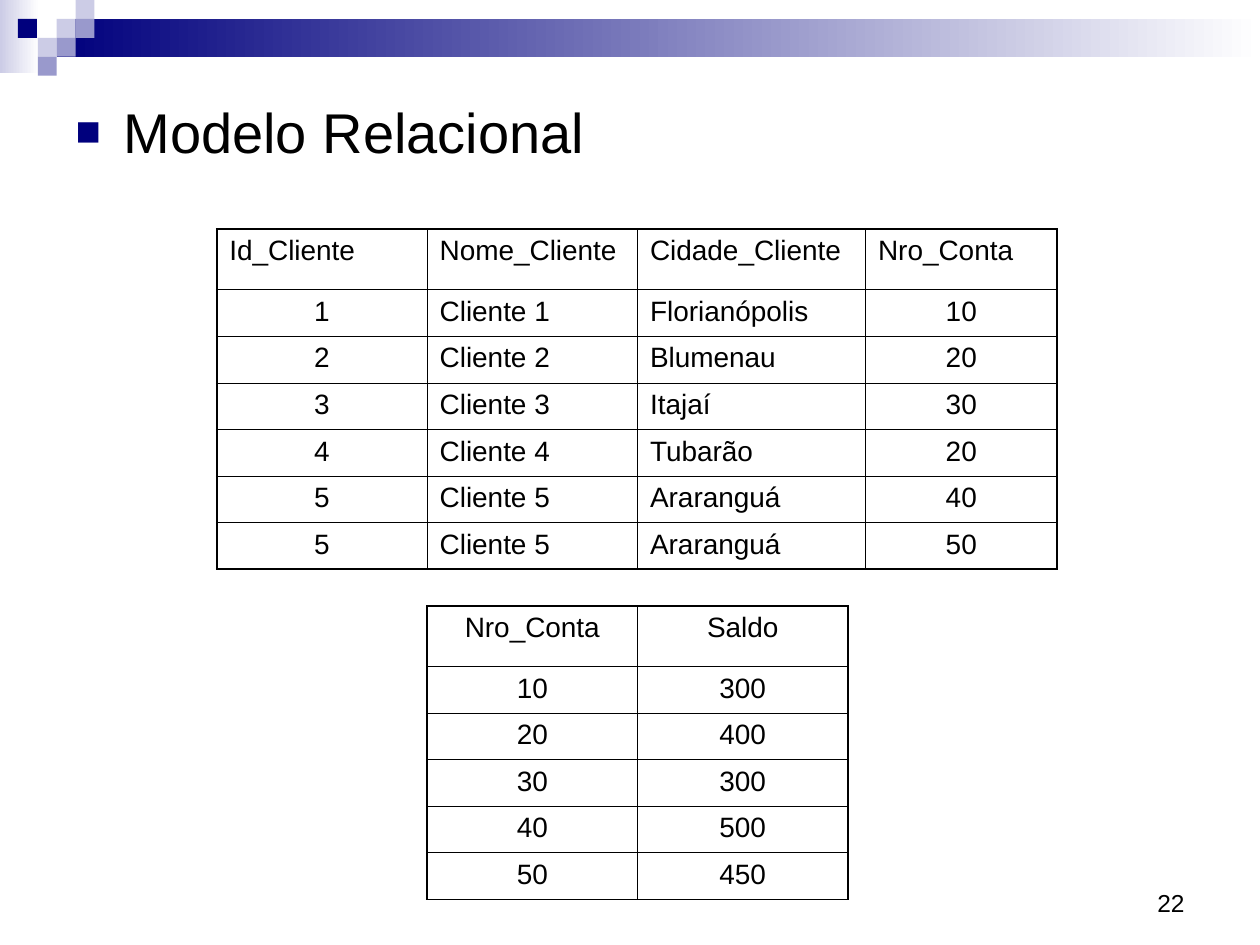
from lxml import etree
from pptx import Presentation
from pptx import util as u
from pptx.dml.color import RGBColor
from pptx.enum import shapes, text
from pptx.oxml import ns

COLORS = {"navy": "00007D", "mid": "9999CC", "pale": "CCCCE6",
          "white": "FFFFFF", "black": "000000"}
FONT = "Arial"
UNIT = 0.15  # side of one square of the header pattern, inches
HEAD_ROW, BODY_ROW = 0.48, 0.37
THIN, THICK = 0.45, 1.08
NO_STYLE = "{2D5ABB26-0587-4C30-8999-92F81FD0307C}"
LEFT, CENTER, RIGHT = (text.PP_ALIGN.LEFT, text.PP_ALIGN.CENTER,
                       text.PP_ALIGN.RIGHT)

# column, row, colour on the header grid
SQUARES = [(3, 1, "pale"), (4, 0, "pale"), (4, 1, "mid"), (2, 2, "pale"),
           (0.95, 1, "navy"), (3, 2, "mid"), (2, 3, "mid")]

CLIENTS = [
    ("Id_Cliente", "Nome_Cliente", "Cidade_Cliente", "Nro_Conta"),
    ("1", "Cliente 1", "Florianópolis", "10"),
    ("2", "Cliente 2", "Blumenau", "20"),
    ("3", "Cliente 3", "Itajaí", "30"),
    ("4", "Cliente 4", "Tubarão", "20"),
    ("5", "Cliente 5", "Araranguá", "40"),
    ("5", "Cliente 5", "Araranguá", "50"),
]
ACCOUNTS = [("Nro_Conta", "Saldo"), ("10", "300"), ("20", "400"),
            ("30", "300"), ("40", "500"), ("50", "450")]


def rgb(name):
    return RGBColor.from_string(COLORS[name])


def sub(parent, tag, **attrs):
    return etree.SubElement(parent, ns.qn(tag), attrs)


def add_run(p, content, size):
    r = p.add_run()
    r.text = content
    r.font.size = u.Pt(size)
    r.font.name = FONT
    r.font.color.rgb = rgb("black")


def add_block(slide, col, row, cols, rows, *colors):
    """Rectangle on the header grid; two colours give a gradient."""
    box = [u.Inches(n * UNIT) for n in (col, row, cols, rows)]
    sp = slide.shapes.add_shape(shapes.MSO_SHAPE.RECTANGLE, *box)
    sp.shadow.inherit = False
    sp.line.fill.background()
    if len(colors) == 1:
        sp.fill.solid()
        sp.fill.fore_color.rgb = rgb(colors[0])
        return
    sp.fill.gradient()
    sp.fill.gradient_angle = 0
    for stop, name, position in zip(sp.fill.gradient_stops, colors, (0, 1)):
        stop.color.rgb = rgb(name)
        stop.position = position


def add_header(slide):
    add_block(slide, 0, 0, 2.07, 3.87, "pale", "white")
    add_block(slide, 3, 1, 10 / UNIT - 3, 2, "navy", "white")
    for col, row, color in SQUARES:
        add_block(slide, col, row, 1, 1, color)


def add_heading(slide, content):
    body = slide.placeholders[1]
    body.left, body.top = u.Inches(0.5), u.Inches(0.72)
    body.width, body.height = u.Inches(9.19), u.Inches(0.87)
    tf = body.text_frame
    tf.auto_size = text.MSO_AUTO_SIZE.NONE
    p = tf.paragraphs[0]
    p.space_before = u.Pt(8)
    add_run(p, content, 32)
    pPr = p._p.get_or_add_pPr()
    pPr.set("marL", str(u.Inches(0.38)))
    pPr.set("indent", str(-u.Inches(0.38)))
    sub(sub(pPr, "a:buClr"), "a:srgbClr", val=COLORS["navy"])
    sub(pPr, "a:buSzPct", val="75000")
    sub(pPr, "a:buFont", typeface=FONT)
    sub(pPr, "a:buChar", char="■")


def set_borders(cell, widths):
    """Line widths in points, in the order left, right, top, bottom."""
    tcPr = cell._tc.get_or_add_tcPr()
    for side, width in zip("LRTB", widths):
        ln = sub(tcPr, f"a:ln{side}", w=str(u.Pt(width)))
        sub(sub(ln, "a:solidFill"), "a:srgbClr", val=COLORS["black"])


def add_grid(slide, left, top, widths, data, head_align, aligns):
    heights = [HEAD_ROW] + [BODY_ROW] * (len(data) - 1)
    frame = slide.shapes.add_table(
        len(data), len(widths), u.Inches(left), u.Inches(top),
        u.Inches(sum(widths)), u.Inches(sum(heights)))
    table = frame.table
    table.first_row = table.horz_banding = False
    table._tbl.tblPr.find(ns.qn("a:tableStyleId")).text = NO_STYLE
    for column, width in zip(table.columns, widths):
        column.width = u.Inches(width)
    for i, (row, height) in enumerate(zip(table.rows, heights)):
        row.height = u.Inches(height)
        for j, cell in enumerate(row.cells):
            p = cell.text_frame.paragraphs[0]
            p.alignment = aligns[j] if i else head_align
            p.space_before = u.Pt(4)
            add_run(p, data[i][j], 16)
            outer = (j == 0, j == len(widths) - 1, i == 0, i == len(data) - 1)
            set_borders(cell, [THICK if edge else THIN for edge in outer])
            cell.fill.background()


def add_page_number(slide, number):
    box = [u.Inches(n) for n in (7.17, 6.83, 2.33, 0.5)]
    tf = slide.shapes.add_textbox(*box).text_frame
    tf.word_wrap = True
    tf.vertical_anchor = text.MSO_ANCHOR.BOTTOM
    p = tf.paragraphs[0]
    p.alignment = RIGHT
    add_run(p, number, 14)


def main():
    prs = Presentation()
    prs.slide_width, prs.slide_height = u.Inches(10), u.Inches(7.5)
    slide = prs.slides.add_slide(prs.slide_layouts[1])
    title = slide.shapes.title._element
    title.getparent().remove(title)
    add_header(slide)
    add_page_number(slide, "22")
    add_heading(slide, "Modelo Relacional")
    add_grid(slide, 1.72, 1.82, (1.67, 1.67, 1.81, 1.52), CLIENTS,
             LEFT, (CENTER, LEFT, LEFT, CENTER))
    add_grid(slide, 3.39, 4.81, (1.67, 1.67), ACCOUNTS,
             CENTER, (CENTER, CENTER))
    prs.save("out.pptx")


if __name__ == "__main__":
    main()
